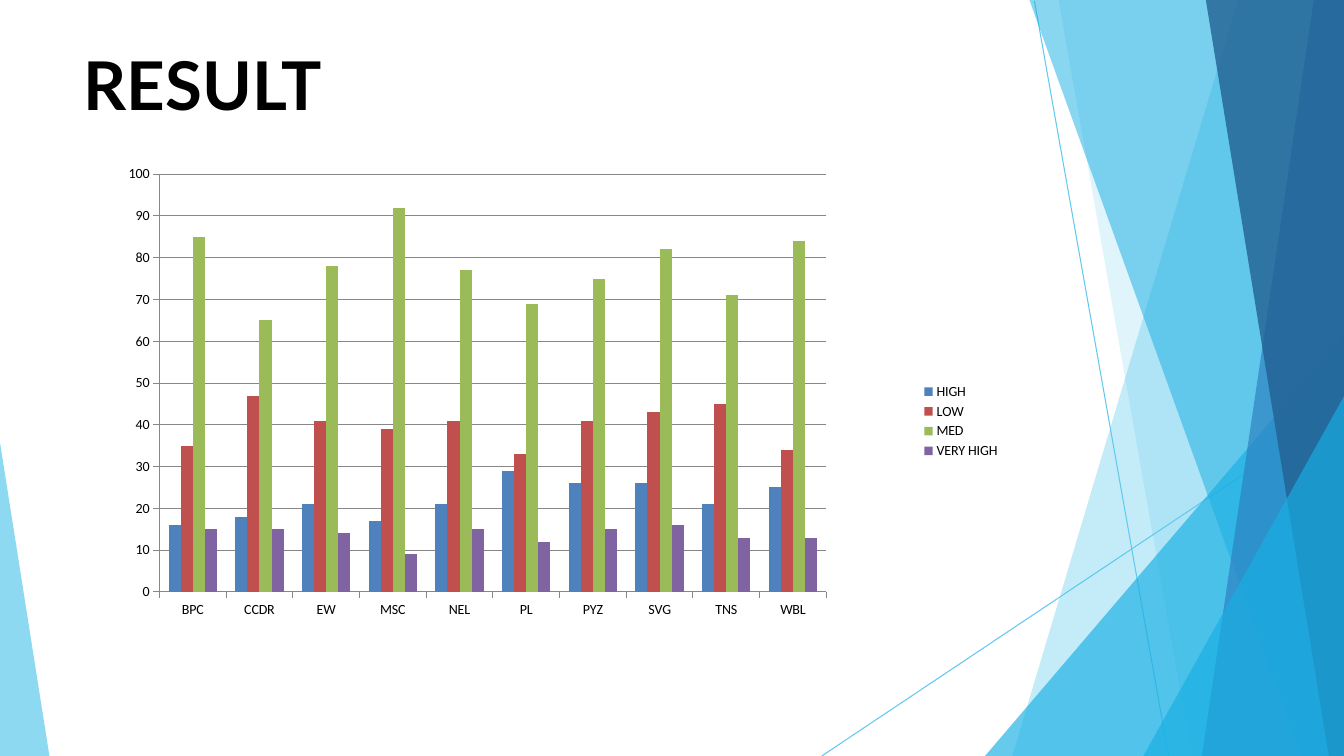
"""Build the RESULT slide: a clustered column chart beside a faceted blue border."""
from dataclasses import dataclass

from pptx import Presentation
from pptx import util as u
from pptx.chart import data as chart_data
from pptx.dml.color import RGBColor
from pptx.enum import chart as chart_enum
from pptx.enum import shapes, text
from pptx.oxml import parse_xml
from pptx.oxml.ns import nsdecls, qn

Point = tuple[float, float]

WIDTH, HEIGHT = 13.33, 7.5
COLORS = {
    "sky": "5FCAEE",
    "cyan": "17AFE3",
    "blue": "2D83C3",
    "navy": "226192",
    "axis": "878787",
    "black": "000000",
    "white": "FFFFFF",
    "high": "4F81BD",
    "low": "C0504D",
    "med": "9BBB59",
    "very high": "8064A2",
}


@dataclass
class Ray:
    start: Point
    end: Point


@dataclass
class Facet:
    points: list[Point]
    color: str
    opacity: int


@dataclass
class Level:
    name: str
    values: list[int]


def right_facet(top: float, bottom: float, color: str, opacity: int) -> Facet:
    """Describe a full-height facet that reaches the right edge of the slide."""
    points = [(WIDTH, 0), (top, 0), (bottom, HEIGHT), (WIDTH, HEIGHT)]
    return Facet(points, color, opacity)


def corner_facet(top: float, left: float) -> Facet:
    """Describe a triangle in the bottom right corner."""
    return Facet([(WIDTH, top), (left, HEIGHT), (WIDTH, HEIGHT)], "cyan", 66)


RAYS = [Ray((10.26, 0.01), (11.59, 7.5)), Ray((13.33, 4.04), (8.15, 7.5))]
FACETS = [
    right_facet(12.28, 10.04, "sky", 37),
    right_facet(10.5, 11.82, "sky", 20),
    corner_facet(3.33, 9.77),
    right_facet(10.21, 12.91, "cyan", 51),
    right_facet(13.03, 11.92, "blue", 71),
    right_facet(11.96, 13.18, "navy", 80),
    corner_facet(3.93, 11.34),
    Facet([(0, 4.39), (0, HEIGHT), (0.49, HEIGHT)], "sky", 71),
]
CATEGORIES = ["BPC", "CCDR", "EW", "MSC", "NEL", "PL", "PYZ", "SVG", "TNS", "WBL"]
LEVELS = [
    Level("HIGH", [16, 18, 21, 17, 21, 29, 26, 26, 21, 25]),
    Level("LOW", [35, 47, 41, 39, 41, 33, 41, 43, 45, 34]),
    Level("MED", [85, 65, 78, 92, 77, 69, 75, 82, 71, 84]),
    Level("VERY HIGH", [15, 15, 14, 9, 15, 12, 15, 16, 13, 13]),
]
PLOT_LAYOUT = {"x": 0.107, "y": 0.07, "w": 0.7, "h": 0.727}


def rgb(name: str) -> RGBColor:
    """Return the named colour."""
    return RGBColor.from_string(COLORS[name])


def style_font(font, name: str, size: float) -> None:
    """Set a black font of the given name and size."""
    font.name = name
    font.size = u.Pt(size)
    font.color.rgb = rgb("black")


def style_line(line, color: str) -> None:
    """Set a thin solid line."""
    line.color.rgb = rgb(color)
    line.width = u.Pt(0.75)


def add_ray(slide, ray: Ray) -> None:
    """Draw one thin line of the border."""
    ends = [u.Inches(value) for value in (*ray.start, *ray.end)]
    connector = slide.shapes.add_connector(shapes.MSO_CONNECTOR.STRAIGHT, *ends)
    style_line(connector.line, "sky")
    connector._element.spPr.append(parse_xml(f"<a:effectLst {nsdecls('a')}/>"))


def add_facet(slide, facet: Facet) -> None:
    """Draw one translucent polygon of the border."""
    points = [(u.Inches(x), u.Inches(y)) for x, y in facet.points]
    builder = slide.shapes.build_freeform(*points[0])
    builder.add_line_segments(points[1:], close=True)
    shape = builder.convert_to_shape()
    shape.shadow.inherit = False
    shape.line.fill.background()
    shape.fill.solid()
    shape.fill.fore_color.rgb = rgb(facet.color)
    color = shape._element.spPr.find(f"{qn('a:solidFill')}/{qn('a:srgbClr')}")
    color.append(parse_xml(f'<a:alpha {nsdecls("a")} val="{facet.opacity * 1000}"/>'))


def add_title(slide) -> None:
    """Write the slide title."""
    box = slide.shapes.add_textbox(*map(u.Inches, (0.83, 0.42, 11.68, 0.83)))
    frame = box.text_frame
    frame.word_wrap = True
    frame.vertical_anchor = text.MSO_ANCHOR.MIDDLE
    frame.margin_left = frame.margin_right = 0
    frame.margin_top = frame.margin_bottom = 0
    paragraph = frame.paragraphs[0]
    paragraph.text = "RESULT"
    style_font(paragraph.font, "Lato", 48)
    paragraph.font.bold = True


def format_plot_area(chart) -> None:
    """Fix the inner plot position and give it a white fill."""
    area = chart._chartSpace.chart.plotArea
    for layout in area.findall(qn("c:layout")):
        area.remove(layout)
    modes = "".join(f'<c:{key}Mode val="edge"/>' for key in "xy")
    sizes = "".join(f'<c:{key} val="{value}"/>' for key, value in PLOT_LAYOUT.items())
    area.insert(0, parse_xml(
        f'<c:layout {nsdecls("c")}><c:manualLayout><c:layoutTarget val="inner"/>'
        f"{modes}{sizes}</c:manualLayout></c:layout>"))
    area.append(parse_xml(
        f'<c:spPr {nsdecls("c", "a")}><a:solidFill>'
        f'<a:srgbClr val="{COLORS["white"]}"/></a:solidFill></c:spPr>'))


def add_result_chart(slide) -> None:
    """Add the column chart of the four levels."""
    values = chart_data.CategoryChartData()
    values.categories = CATEGORIES
    for level in LEVELS:
        values.add_series(level.name, level.values)
    chart = slide.shapes.add_chart(
        chart_enum.XL_CHART_TYPE.COLUMN_CLUSTERED,
        *map(u.Inches, (0.57, 1.33, 9.45, 5.7)), values).chart
    chart.has_title = False
    style_font(chart.font, "Arial", 10)

    plot = chart.plots[0]
    plot.gap_width = 150
    plot.overlap = 0
    plot.vary_by_categories = False
    for series in plot.series:
        series.format.fill.solid()
        series.format.fill.fore_color.rgb = rgb(series.name.lower())

    for axis in (chart.category_axis, chart.value_axis):
        axis.major_tick_mark = chart_enum.XL_TICK_MARK.OUTSIDE
        style_font(axis.tick_labels.font, "Calibri", 10)
        style_line(axis.format.line, "axis")
    chart.value_axis.minimum_scale = 0
    chart.value_axis.maximum_scale = 100
    chart.value_axis.major_unit = 10
    style_line(chart.value_axis.major_gridlines.format.line, "axis")

    chart.has_legend = True
    chart.legend.position = chart_enum.XL_LEGEND_POSITION.RIGHT
    chart.legend.include_in_layout = False
    style_font(chart.legend.font, "Calibri", 10)
    format_plot_area(chart)


def main() -> None:
    """Build and save the presentation."""
    presentation = Presentation()
    presentation.slide_width = u.Inches(WIDTH)
    presentation.slide_height = u.Inches(HEIGHT)
    slide = presentation.slides.add_slide(presentation.slide_layouts[6])
    for ray in RAYS:
        add_ray(slide, ray)
    for facet in FACETS:
        add_facet(slide, facet)
    add_title(slide)
    add_result_chart(slide)
    presentation.save("out.pptx")


if __name__ == "__main__":
    main()
